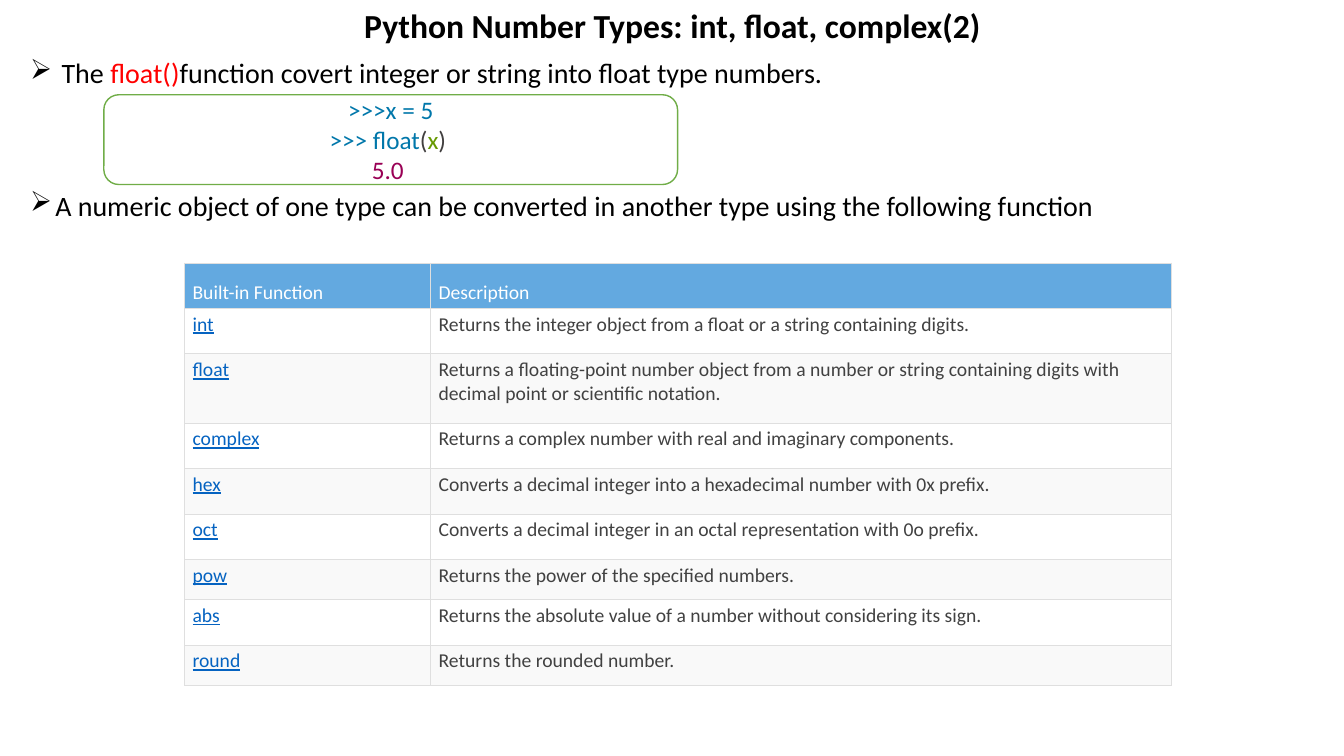
"""Build a slide on Python number conversion functions."""
import pptx
import pptx.dml.color
import pptx.enum.shapes
import pptx.enum.text
import pptx.oxml.ns
import pptx.util
from lxml import etree

Inches = pptx.util.Inches
Pt = pptx.util.Pt
RGBColor = pptx.dml.color.RGBColor
Align = pptx.enum.text.PP_ALIGN
Anchor = pptx.enum.text.MSO_ANCHOR
qn = pptx.oxml.ns.qn

BLACK = RGBColor(0, 0, 0)
WHITE = RGBColor(255, 255, 255)
RED = RGBColor(255, 0, 0)
GREEN = RGBColor(0x70, 0xAD, 0x47)
CODE_BLUE = RGBColor(0x00, 0x77, 0xAA)
CODE_GREY = RGBColor(0x41, 0x3F, 0x3F)
CODE_GREEN = RGBColor(0x66, 0x99, 0x00)
CODE_PURPLE = RGBColor(0x99, 0x00, 0x55)
HEADER_BLUE = RGBColor(0x63, 0xA9, 0xE0)
STRIPE = RGBColor(0xF9, 0xF9, 0xF9)
BORDER = RGBColor(0xDF, 0xDF, 0xDF)
LINK_BLUE = RGBColor(0x05, 0x63, 0xC1)
TEXT_GREY = RGBColor(0x41, 0x41, 0x41)

BULLETS = [
    (10, [(" The ", BLACK), ("float()", RED),
          ("function covert integer or string into float type numbers.", BLACK)]),
    (73, [("A numeric object of one type can be converted in another type "
           "using the following function", BLACK)]),
]
CODE_LINES = [
    [(">>>x = 5", CODE_BLUE)],
    [(">>> float", CODE_BLUE), ("(", CODE_GREY), ("x", CODE_GREEN), (") ", CODE_GREY)],
    [("5.0 ", CODE_PURPLE)],
]
FUNCTIONS = [
    ("Built-in Function", "Description"),
    ("int", "Returns the integer object from a float or a string containing digits."),
    ("float", "Returns a floating-point number object from a number or string "
              "containing digits with decimal point or scientific notation."),
    ("complex", "Returns a complex number with real and imaginary components."),
    ("hex", "Converts a decimal integer into a hexadecimal number with 0x prefix."),
    ("oct", "Converts a decimal integer in an octal representation with 0o prefix."),
    ("pow", "Returns the power of the specified numbers."),
    ("abs", "Returns the absolute value of a number without considering its sign."),
    ("round", "Returns the rounded number."),
]
COLUMN_WIDTHS = [2.44, 7.35]
ROW_HEIGHTS = [0.45, 0.45, 0.69, 0.45, 0.45, 0.45, 0.4, 0.45, 0.4]


class SlideBuilder:
    def __init__(self, presentation, font_name):
        self.font_name = font_name
        self.slide = presentation.slides.add_slide(presentation.slide_layouts[5])

    def add_runs(self, paragraph, runs, size):
        paragraph.font.name = self.font_name
        paragraph.font.size = Pt(size)
        for text, color in runs:
            run = paragraph.add_run()
            run.text = text
            run.font.color.rgb = color

    def title(self, text, left, top, width, height):
        title = self.slide.shapes.title
        title.left, title.top = Inches(left), Inches(top)
        title.width, title.height = Inches(width), Inches(height)
        title.text_frame.vertical_anchor = Anchor.MIDDLE
        paragraph = title.text_frame.paragraphs[0]
        paragraph.alignment = Align.CENTER
        paragraph.line_spacing = 0.9
        self.add_runs(paragraph, [(text, BLACK)], 24)
        paragraph.font.bold = True

    def bullets(self, items, left, top, width, height):
        box = self.slide.shapes.add_textbox(
            Inches(left), Inches(top), Inches(width), Inches(height))
        frame = box.text_frame
        frame.word_wrap = True
        for index, (space_before, runs) in enumerate(items):
            paragraph = frame.add_paragraph() if index else frame.paragraphs[0]
            paragraph.line_spacing = 0.9
            paragraph.space_before = Pt(space_before)
            self.add_runs(paragraph, runs, 20)
            properties = paragraph._p.get_or_add_pPr()
            properties.set("marL", str(Inches(0.25)))
            properties.set("indent", str(Inches(-0.25)))
            bullet = etree.Element(qn("a:buChar"), char="➢")
            properties.find(qn("a:defRPr")).addprevious(bullet)

    def code_box(self, lines, left, top, width, height):
        shape = self.slide.shapes.add_shape(
            pptx.enum.shapes.MSO_SHAPE.ROUNDED_RECTANGLE,
            Inches(left), Inches(top), Inches(width), Inches(height))
        shape.shadow.inherit = False
        shape.fill.solid()
        shape.fill.fore_color.rgb = WHITE
        shape.line.color.rgb = GREEN
        shape.line.width = Pt(1)
        frame = shape.text_frame
        frame.word_wrap = True
        frame.vertical_anchor = Anchor.MIDDLE
        for index, runs in enumerate(lines):
            paragraph = frame.add_paragraph() if index else frame.paragraphs[0]
            paragraph.alignment = Align.CENTER
            self.add_runs(paragraph, runs, 18)

    def table(self, rows, widths, heights, left, top):
        table = self.slide.shapes.add_table(
            len(rows), len(widths), Inches(left), Inches(top),
            Inches(sum(widths)), Inches(sum(heights))).table
        for column, width in zip(table.columns, widths):
            column.width = Inches(width)
        for row_index, values in enumerate(rows):
            table.rows[row_index].height = Inches(heights[row_index])
            for column_index, text in enumerate(values):
                self.cell(table.cell(row_index, column_index), text,
                          row_index, column_index)

    def cell(self, cell, text, row_index, column_index):
        header = row_index == 0
        function_name = not header and column_index == 0
        self.borders(cell)
        cell.fill.solid()
        cell.fill.fore_color.rgb = (
            HEADER_BLUE if header else WHITE if row_index % 2 else STRIPE)
        cell.margin_left = cell.margin_right = Inches(0.08)
        cell.margin_top = cell.margin_bottom = Inches(0.04)
        cell.vertical_anchor = Anchor.BOTTOM if header else Anchor.TOP
        color = WHITE if header else LINK_BLUE if function_name else TEXT_GREY
        paragraph = cell.text_frame.paragraphs[0]
        self.add_runs(paragraph, [(text, color)], 14)
        font = paragraph.runs[0].font
        font.bold = False
        font.underline = function_name

    def borders(self, cell):
        properties = cell._tc.get_or_add_tcPr()
        for side in ("lnL", "lnR", "lnT", "lnB"):
            line = etree.SubElement(properties, qn("a:" + side), w=str(Pt(0.75)))
            fill = etree.SubElement(line, qn("a:solidFill"))
            etree.SubElement(fill, qn("a:srgbClr"), val=str(BORDER))


def main():
    presentation = pptx.Presentation()
    presentation.slide_width = Inches(13.33)
    presentation.slide_height = Inches(7.5)
    builder = SlideBuilder(presentation, "Calibri")
    builder.title("Python Number Types: int, float, complex(2)", 0.92, 0, 11.5, 0.54)
    builder.bullets(BULLETS, 0.2, 0.54, 12.97, 6.86)
    builder.table(FUNCTIONS, COLUMN_WIDTHS, ROW_HEIGHTS, 1.83, 2.61)
    builder.code_box(CODE_LINES, 1.03, 0.94, 5.69, 0.89)
    presentation.save("out.pptx")


if __name__ == "__main__":
    main()
